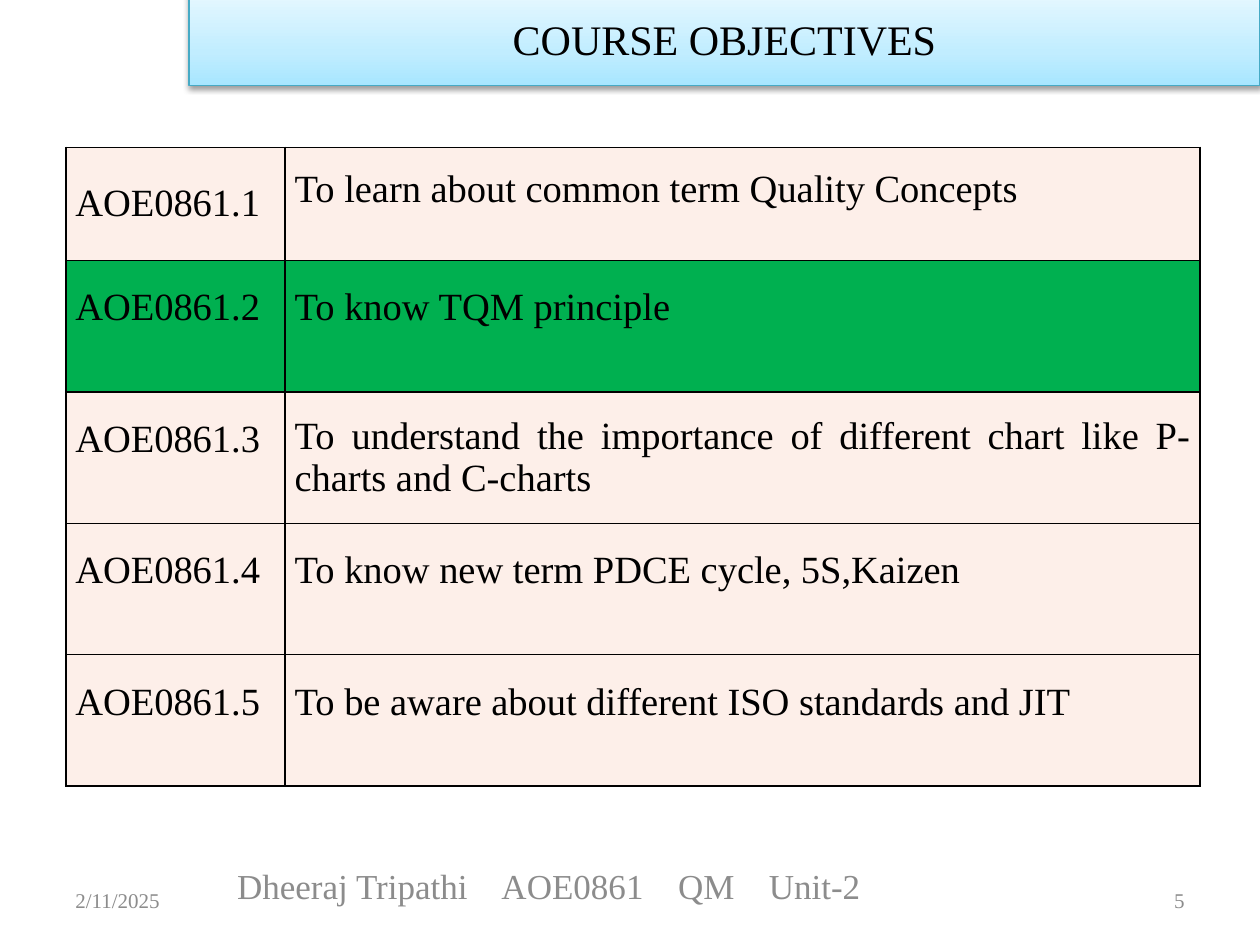
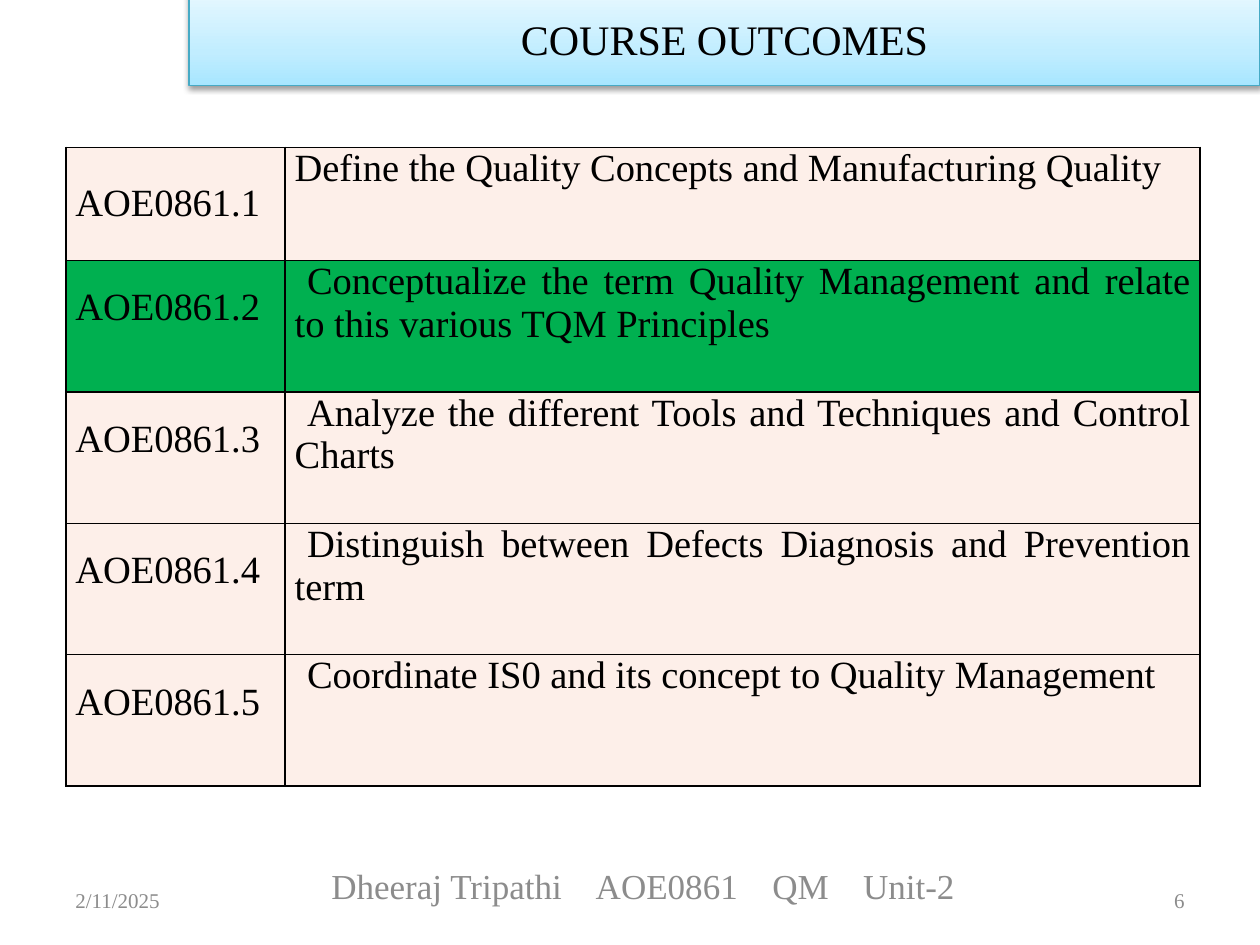
from lxml.etree import SubElement
from pptx import Presentation
from pptx.dml.color import RGBColor
from pptx.enum.text import MSO_ANCHOR, PP_ALIGN
from pptx.oxml import parse_xml
from pptx.oxml.ns import nsdecls, qn
from pptx.util import Cm, Pt

BLACK = RGBColor(0x00, 0x00, 0x00)
GREY = RGBColor(0x8C, 0x8C, 0x8C)
BAND_EDGE = RGBColor(0x46, 0xAA, 0xC5)
BLUSH = RGBColor(0xFD, 0xEF, 0xE9)
GREEN = RGBColor(0x00, 0xB0, 0x50)
BAND_STOPS = [(0, "A7E6FF"), (35, "C1EDFF"), (100, "E7F8FF")]

FONT = "Times New Roman"
DATE = "2/11/2025"
FOOTER = "Dheeraj Tripathi\tAOE0861\tQM\tUnit-2"
FOOTER_TABS = [5.33, 8.89, 10.72]
CURRENT_UNIT = 2
COLUMN_WIDTHS = [4.42, 18.44]
ROW_HEIGHTS = [2.28] + [2.65] * 4
CODE_LIFTS = [0] + [0.73] * 4  # bottom margins that raise centred text

SLIDES = [
    dict(
        title="COURSE OBJECTIVES", number=5, footer_left=4.45, footer_width=16.94,
        anchor=MSO_ANCHOR.MIDDLE, lifts=[0.56, 0.73, 0, 0.73, 0.73], indents=[0] * 5,
        statements=[
            "To learn about common term Quality Concepts",
            "To know TQM principle",
            "To understand the importance of different chart like P-charts and C-charts",
            "To know new term PDCE cycle, 5S,Kaizen",
            "To be aware about different ISO standards and JIT",
        ],
    ),
    dict(
        title="COURSE OUTCOMES", number=6, footer_left=6.35, footer_width=13.97,
        anchor=MSO_ANCHOR.TOP, lifts=[0] * 5, indents=[0] + [0.25] * 4,
        statements=[
            "Define the Quality Concepts and Manufacturing Quality",
            "Conceptualize the term Quality Management and relate to this various TQM Principles",
            "Analyze the different Tools and Techniques and Control Charts",
            "Distinguish between Defects Diagnosis and Prevention term",
            "Coordinate IS0 and its concept to Quality Management",
        ],
    ),
]


def write(frame, text, size=22, color=BLACK, align=PP_ALIGN.LEFT,
          anchor=MSO_ANCHOR.MIDDLE, indent=0, tabs=()):
    frame.word_wrap = True
    frame.vertical_anchor = anchor
    paragraph = frame.paragraphs[0]
    paragraph.text = text
    paragraph.alignment = align
    properties = paragraph._p.get_or_add_pPr()
    if indent:
        properties.set("indent", str(Cm(indent)))
    if tabs:
        stops = SubElement(properties, qn("a:tabLst"))
        for position in tabs:
            SubElement(stops, qn("a:tab"), pos=str(Cm(position)), algn="l")
    paragraph.font.name = FONT
    paragraph.font.size = Pt(size)
    paragraph.font.color.rgb = color


def fill_cell(cell, text, color, lift, **text_format):
    cell.margin_left = cell.margin_right = Cm(0.19)
    cell.margin_top, cell.margin_bottom = 0, Cm(lift)
    cell.vertical_anchor = text_format.get("anchor", MSO_ANCHOR.MIDDLE)
    properties = cell._tc.get_or_add_tcPr()
    for side in ("lnL", "lnR", "lnT", "lnB"):
        properties.append(parse_xml(
            f'<a:{side} {nsdecls("a")} w="{Pt(1)}"><a:solidFill>'
            f'<a:srgbClr val="{BLACK}"/></a:solidFill></a:{side}>'))
    cell.fill.solid()
    cell.fill.fore_color.rgb = color
    text_format.pop("anchor", None)
    write(cell.text_frame, text, anchor=None, **text_format)


gradient_stops = "".join(
    f'<a:gs pos="{percent * 1000}"><a:srgbClr val="{color}"/></a:gs>'
    for percent, color in BAND_STOPS)
band_gradient = (f'<a:gradFill {nsdecls("a")} rotWithShape="1"><a:gsLst>{gradient_stops}'
                 '</a:gsLst><a:lin ang="16200000" scaled="0"/></a:gradFill>')
band_shadow = (f'<a:effectLst {nsdecls("a")}><a:outerShdw blurRad="40000" dist="20000" '
               'dir="5400000" rotWithShape="0"><a:srgbClr val="000000">'
               '<a:alpha val="38000"/></a:srgbClr></a:outerShdw></a:effectLst>')
band_outline = f'<a:prstGeom {nsdecls("a")} prst="rect"><a:avLst/></a:prstGeom>'

deck = Presentation()
deck.slide_width, deck.slide_height = Cm(25.4), Cm(19.05)

for content in SLIDES:
    slide = deck.slides.add_slide(deck.slide_layouts[5])

    band = slide.shapes.title
    band.left, band.top, band.width, band.height = Cm(3.81), Cm(-0.18), Cm(21.59), Cm(1.9)
    write(band.text_frame, content["title"], size=24, align=PP_ALIGN.CENTER)
    band_properties = band._element.spPr
    band_properties.append(parse_xml(band_outline))
    band_properties.append(parse_xml(band_gradient))
    band.line.color.rgb = BAND_EDGE
    band.line.width = Pt(0.75)
    band_properties.append(parse_xml(band_shadow))

    units = slide.shapes.add_table(
        len(ROW_HEIGHTS), len(COLUMN_WIDTHS), Cm(1.33), Cm(2.97),
        Cm(sum(COLUMN_WIDTHS)), Cm(sum(ROW_HEIGHTS))).table
    units.first_row = units.horz_banding = False
    for column, width in zip(units.columns, COLUMN_WIDTHS):
        column.width = Cm(width)
    for index, statement in enumerate(content["statements"]):
        units.rows[index].height = Cm(ROW_HEIGHTS[index])
        color = GREEN if index + 1 == CURRENT_UNIT else BLUSH
        fill_cell(units.cell(index, 0), f"AOE0861.{index + 1}", color, CODE_LIFTS[index])
        fill_cell(units.cell(index, 1), statement, color, content["lifts"][index],
                  anchor=content["anchor"], align=PP_ALIGN.JUSTIFY,
                  indent=content["indents"][index])

    footer_parts = [
        (FOOTER, content["footer_left"], 17.35, content["footer_width"],
         dict(size=20, tabs=FOOTER_TABS)),
        (DATE, 1.27, 17.65, 5.93, dict(size=12)),
        (str(content["number"]), 18.2, 17.65, 5.93, dict(size=12, align=PP_ALIGN.RIGHT)),
    ]
    for text, left, top, width, text_format in footer_parts:
        box = slide.shapes.add_textbox(Cm(left), Cm(top), Cm(width), Cm(1.01))
        if text == FOOTER:
            box.text_frame.margin_left = Cm(0.33)
        write(box.text_frame, text, color=GREY, **text_format)

deck.save("out.pptx")
